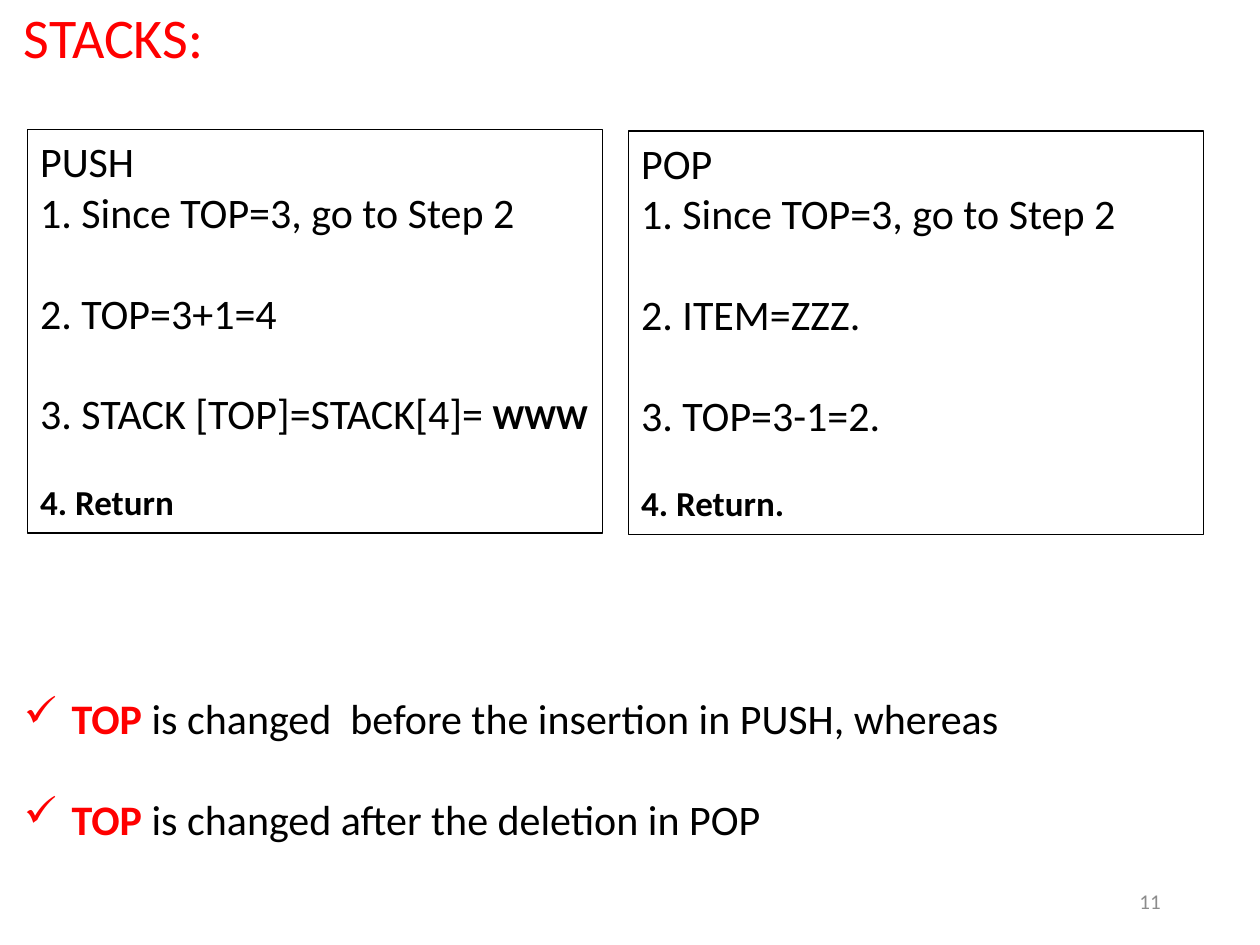
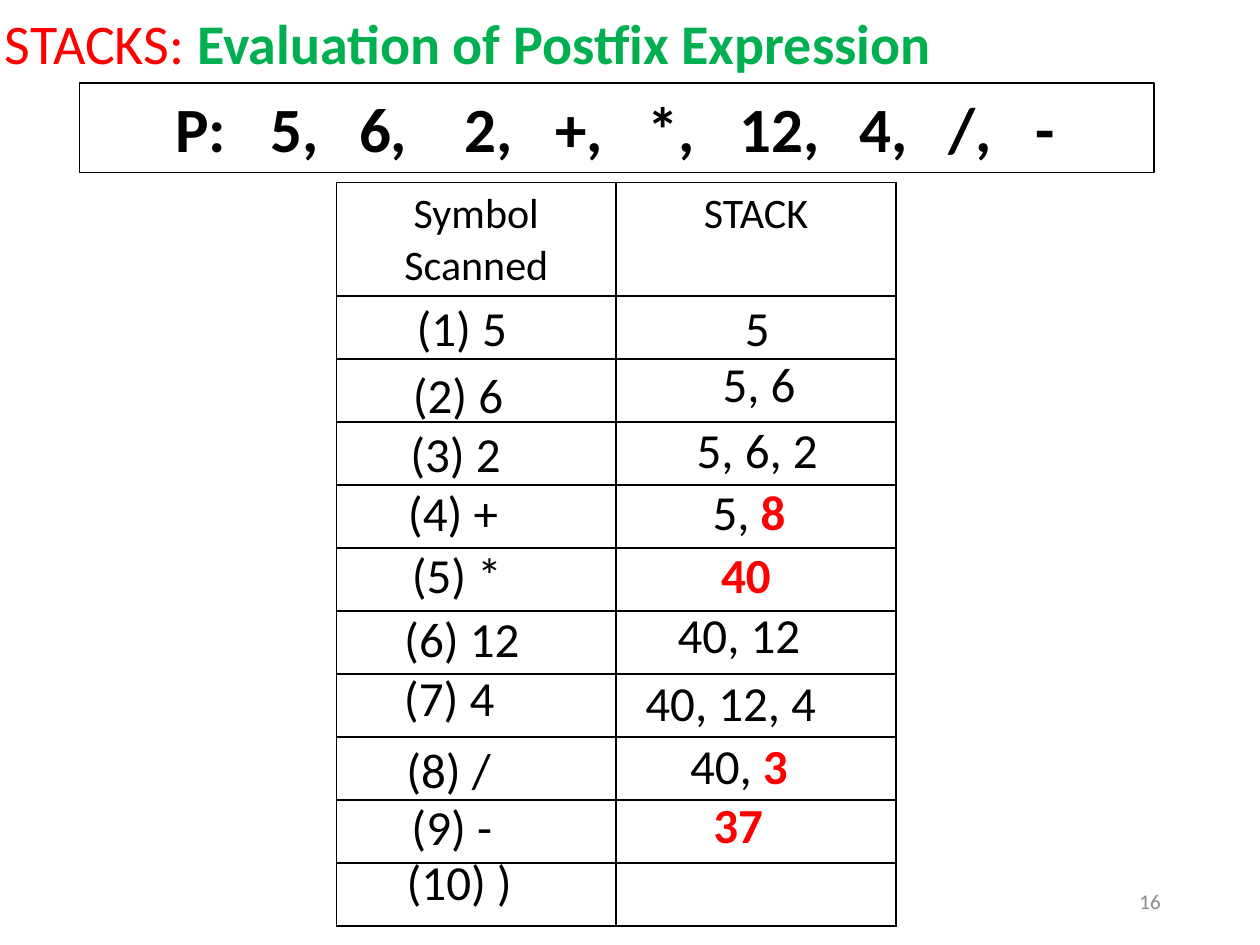
from pptx import Presentation
from pptx.dml.color import RGBColor
from pptx.enum.shapes import MSO_SHAPE
from pptx.enum.text import MSO_ANCHOR, PP_ALIGN
from pptx.util import Inches, Pt
from lxml.etree import SubElement
from pptx.oxml.ns import qn

RED = RGBColor(0xFF, 0, 0)
GREEN = RGBColor(0, 0xB0, 0x50)
BLACK = RGBColor(0, 0, 0)
GRAY = RGBColor(0x8C, 0x8C, 0x8C)
WHITE = RGBColor(0xFF, 0xFF, 0xFF)
FONT = "Calibri"
COLS, ROWS = 100, 75


class Deck:
    """Draws styled elements on a grid of 100 columns by 75 rows."""

    def __init__(self):
        self.show = Presentation()
        self.show.slide_width = Inches(10)
        self.show.slide_height = Inches(7.5)
        self.slide = None

    def grid(self, left, top, wide, high):
        col = self.show.slide_width / COLS
        row = self.show.slide_height / ROWS
        return [round(n * step) for n, step in
                ((left, col), (top, row), (wide, col), (high, row))]

    def page(self, number, title, place):
        self.slide = self.show.slides.add_slide(self.show.slide_layouts[6])
        fill = self.slide.background.fill
        fill.solid()
        fill.fore_color.rgb = WHITE
        self.text(place, [title], 32)
        foot = self.text((70.6, 69.5, 22.5, 4), [[(str(number), GRAY, False)]],
                         12, PP_ALIGN.RIGHT)
        foot.vertical_anchor = MSO_ANCHOR.MIDDLE

    def put(self, frame, lines, size, align=PP_ALIGN.LEFT, gaps=None, mark=None):
        for i, runs in enumerate(lines):
            para = frame.paragraphs[0] if i == 0 else frame.add_paragraph()
            if mark:
                props = para._p.get_or_add_pPr()
                props.set("marL", str(Inches(0.38)))
                props.set("indent", str(-Inches(0.38)))
                SubElement(props, qn("a:buChar"), char=mark)
            para.alignment = align
            if gaps:
                para.line_spacing = gaps[i]
            for words, color, bold, *small in runs:
                run = para.add_run()
                run.text = words
                font = run.font
                font.name, font.bold = FONT, bold
                font.size = Pt(small[0] if small else size)
                font.color.rgb = color

    def text(self, place, lines, size, align=PP_ALIGN.LEFT, wrap=True, **style):
        frame = self.slide.shapes.add_textbox(*self.grid(*place)).text_frame
        frame.word_wrap = wrap
        self.put(frame, lines, size, align, **style)
        return frame

    def panel(self, place, lines, size, **style):
        box = self.slide.shapes.add_shape(MSO_SHAPE.RECTANGLE, *self.grid(*place))
        box.shadow.inherit = False
        box.fill.background()
        box.line.color.rgb = BLACK
        box.line.width = Pt(0.75)
        frame = box.text_frame
        frame.word_wrap = True
        frame.vertical_anchor = MSO_ANCHOR.TOP
        self.put(frame, lines, size, **style)
        return frame

    def tabs(self, frame, stops):
        props = frame.paragraphs[0]._p.get_or_add_pPr()
        tabs = SubElement(props, qn("a:tabLst"))
        for stop in stops:
            SubElement(tabs, qn("a:tab"), pos=str(Inches(stop)), algn="l")

    def table(self, place, heads, count, first):
        spot = self.grid(*place)
        table = self.slide.shapes.add_table(count + 1, len(heads), *spot).table
        table.first_row = table.horz_banding = False
        top = self.grid(0, 0, 0, first)[3]
        for i, row in enumerate(table.rows):
            row.height = top if i == 0 else (spot[3] - top) // count
        for cell in table.iter_cells():
            cell.fill.background()
            self.edge(cell)
        for i, head in enumerate(heads):
            self.put(table.cell(0, i).text_frame, [[(head, BLACK, False)]],
                     24, PP_ALIGN.CENTER)

    def edge(self, cell):
        props = cell._tc.get_or_add_tcPr()
        for i, side in enumerate(("lnL", "lnR", "lnT", "lnB")):
            line = SubElement(props, qn("a:" + side), w=str(Pt(1)))
            fill = SubElement(line, qn("a:solidFill"))
            SubElement(fill, qn("a:srgbClr"), val=str(BLACK))
            props.remove(line)
            props.insert(i, line)


def plain(words):
    return [(words, BLACK, False)]


def steps(deck):
    deck.page(11, [("STACKS:", RED, False)], (0.9, -0.3, 89.3, 6.4))
    notes = ("is changed  before the insertion in PUSH, whereas",
             "is changed after the deletion in POP")
    deck.text((0.9, 50.5, 99.1, 17.2),
              [[("TOP ", RED, True), (note, BLACK, False)] for note in notes],
              24, gaps=(2.0, 2.0), mark="✓")
    start = "1. Since TOP=3, go to Step 2"
    pop = [plain(words) for words in
           ("POP", start, "2. ITEM=ZZZ.", "3. TOP=3-1=2.")]
    push = [plain(words) for words in
            ("PUSH", start, "2. TOP=3+1=4", "3. STACK [TOP]=STACK[4]= ")]
    push[-1].append(("WWW", BLACK, True, 20))
    for left, top, lines, end in ((49.9, 10.4, pop, "4. Return."),
                                  (2.2, 10.3, push, "4. Return")):
        deck.panel((left, top, 45.6, 32), lines + [[(end, BLACK, True, 20)]],
                   24, gaps=(1.0, 1.0, 2.0, 2.0, 2.0))


def trace(deck):
    deck.page(16, [("STACKS: ", RED, False),
                   ("Evaluation of Postfix Expression", GREEN, True)],
              (-0.6, 0.2, 92.4, 6.4))
    terms = ("P:", "5,", "6,", "2,", "+,", "*,", "12,", "4,", "/,", "-")
    frame = deck.panel((6.3, 6.6, 85.3, 7.1), [[("\t".join(terms), BLACK, True)]], 36)
    frame.margin_left = Inches(0.76)
    deck.tabs(frame, (0.76, 1.46, 2.3, 3.02, 3.75, 4.48, 5.43, 6.14, 6.83))
    deck.table((26.7, 14.5, 44.4, 59), ("Symbol Scanned", "STACK"), 10, 9)
    scans = (("5", 36.65, 23.1), ("6", 36.35, 28.4), ("2", 36.15, 33.1),
             ("+", 35.95, 37.8), ("*", 36.25, 42.7), ("12", 36.65, 47.8),
             ("4", 35.65, 52.5), ("/", 35.6, 58.2), ("-", 35.85, 62.7),
             (")", 36.45, 67.1))
    stacks = (("5", "", 60.1, 23.1), ("5, 6", "", 60.25, 27.6),
              ("5, 6, 2", "", 60.1, 32.8), ("5, ", "8", 59.45, 37.7),
              ("", "40", 59.2, 42.7), ("40, 12", "", 58.65, 47.5),
              ("40, 12, 4", "", 58, 52.9), ("40, ", "3", 58.65, 57.9),
              ("", "37", 58.6, 62.6))
    items = [(f"({i}) {sign}", "", mid, top)
             for i, (sign, mid, top) in enumerate(scans, 1)]
    for old, new, mid, top in items + list(stacks):
        runs = [run for run in ((old, BLACK, False), (new, RED, True)) if run[0]]
        deck.text((mid - 8, top, 16, 5.7), [runs], 28, PP_ALIGN.CENTER, wrap=False)


def main():
    deck = Deck()
    steps(deck)
    trace(deck)
    deck.show.save("out.pptx")


if __name__ == "__main__":
    main()
